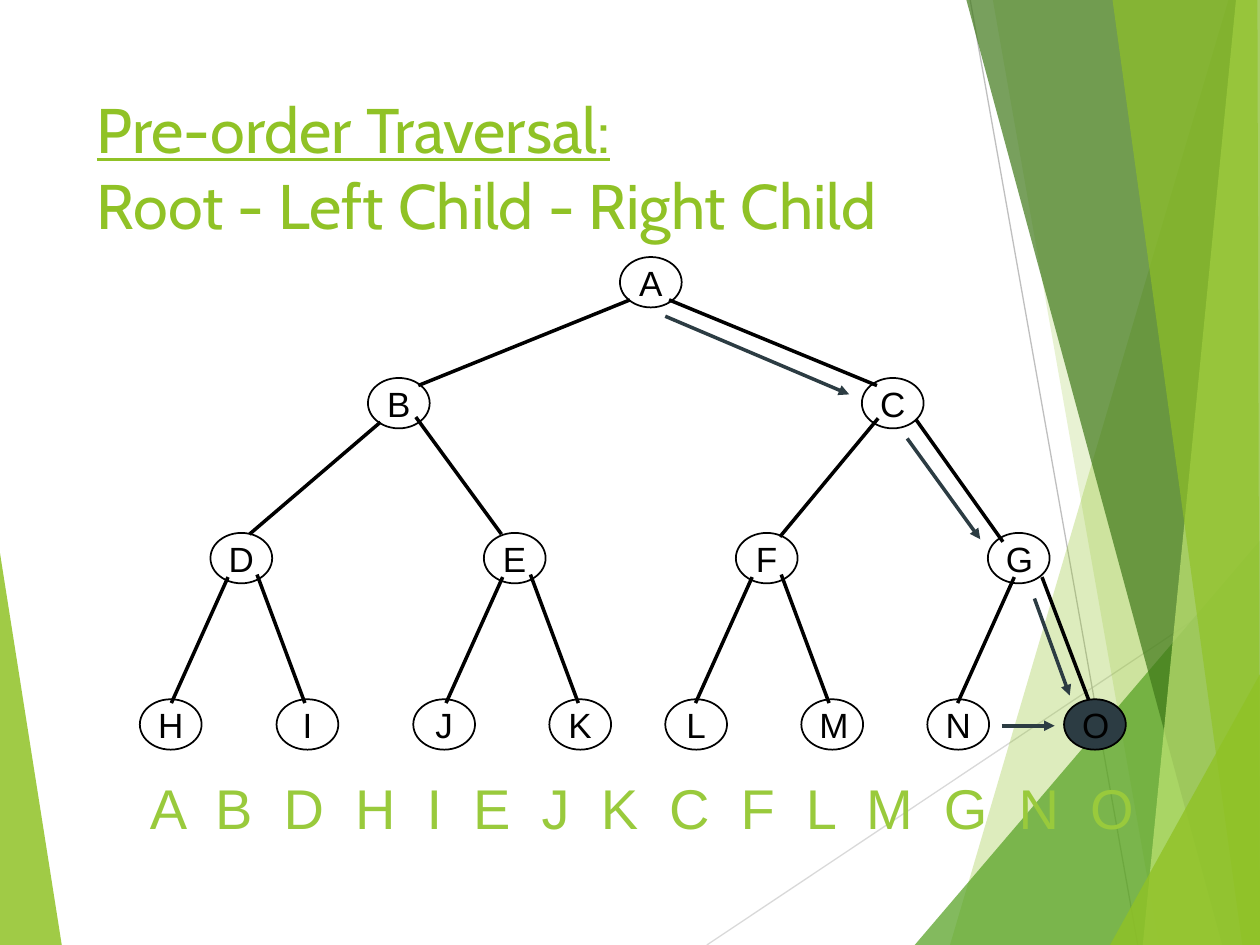
import pptx
import pptx.dml.color
import pptx.enum.shapes
import pptx.enum.text
import pptx.oxml
import pptx.oxml.ns
import pptx.util
from dataclasses import dataclass

# The slide is a grid of 100 columns by 75 rows
COLUMNS, ROWS = 100, 75
deck = pptx.Presentation()
deck.slide_width = pptx.util.Inches(10)
deck.slide_height = pptx.util.Inches(7.5)
page = deck.slides.add_slide(deck.slide_layouts[6])
shapes = page.shapes

BLACK, WHITE, SLATE = "000000", "FFFFFF", "2C3C43"
LIME, LETTER_GREEN = "90C226", "99CA3C"
NODE_WIDTH, NODE_HEIGHT = 4.9, 4
LABEL_WIDTH, LABEL_HEIGHT = 4, 4.3


@dataclass
class Facet:
    color: str
    opacity: int
    points: list[tuple[float, float]]


@dataclass
class Line:
    start: tuple[float, float]
    end: tuple[float, float]
    color: str = BLACK
    width: float = 2
    arrow: bool = False


@dataclass
class Node:
    letter: str
    column: float
    row: float
    fill: str = WHITE


@dataclass
class Span:
    text: str
    size: float
    font: str
    color: str
    underline: bool = False


def across(column: float) -> int:
    return round(deck.slide_width * column / COLUMNS)


def down(row: float) -> int:
    return round(deck.slide_height * row / ROWS)


def rgb(value: str) -> pptx.dml.color.RGBColor:
    return pptx.dml.color.RGBColor.from_string(value)


def element(xml: str):
    return pptx.oxml.parse_xml(xml.replace(" ", f" {pptx.oxml.ns.nsdecls('a')} ", 1))


def draw_facet(facet: Facet) -> None:
    corners = [(across(x), down(y)) for x, y in facet.points]
    builder = shapes.build_freeform(*corners[0])
    builder.add_line_segments(corners[1:], close=True)
    shape = builder.convert_to_shape()
    shape.shadow.inherit = False
    shape.fill.solid()
    shape.fill.fore_color.rgb = rgb(facet.color)
    shape.line.fill.background()
    color = shape.fill._xPr.find(".//" + pptx.oxml.ns.qn("a:srgbClr"))
    color.append(element(f'<a:alpha val="{facet.opacity * 1000}"/>'))


def draw_line(line: Line) -> None:
    connector = shapes.add_connector(
        pptx.enum.shapes.MSO_CONNECTOR.STRAIGHT,
        across(line.start[0]), down(line.start[1]), across(line.end[0]), down(line.end[1]))
    connector.line.color.rgb = rgb(line.color)
    connector.line.width = pptx.util.Pt(line.width)
    if line.arrow:
        connector.line._get_or_add_ln().append(element('<a:tailEnd type="triangle"/>'))
    connector._element.spPr.append(element("<a:effectLst />"))


def draw_text(left: float, top: float, width: float, height: float,
              spans: list[Span], centered: bool = True):
    """Set each span on a line of its own and return the paragraph."""
    box = shapes.add_textbox(across(left), down(top), across(width), down(height))
    box.text_frame.word_wrap = not centered
    para = box.text_frame.paragraphs[0]
    if centered:
        box.text_frame.auto_size = pptx.enum.text.MSO_AUTO_SIZE.SHAPE_TO_FIT_TEXT
        para.alignment = pptx.enum.text.PP_ALIGN.CENTER
    for index, span in enumerate(spans):
        if index:
            para.add_line_break()
        run = para.add_run()
        run.text = span.text
        run.font.size = pptx.util.Pt(span.size)
        run.font.name = span.font
        run.font.color.rgb = rgb(span.color)
        run.font.underline = span.underline
    return para


def draw_node(node: Node) -> None:
    oval = shapes.add_shape(
        pptx.enum.shapes.MSO_SHAPE.OVAL,
        across(node.column - NODE_WIDTH / 2), down(node.row - NODE_HEIGHT / 2),
        across(NODE_WIDTH), down(NODE_HEIGHT))
    oval.shadow.inherit = False
    oval.fill.solid()
    oval.fill.fore_color.rgb = rgb(node.fill)
    oval.line.color.rgb = rgb(BLACK)
    oval.line.width = pptx.util.Pt(1)
    draw_text(node.column - LABEL_WIDTH / 2, node.row - LABEL_HEIGHT / 2,
              LABEL_WIDTH, LABEL_HEIGHT, [Span(node.letter, 20, "Arial", BLACK)])


# Background facets and hairlines
draw_facet(Facet(LIME, 85, [(0, 43.9), (4.9, ROWS), (0, ROWS)]))
draw_line(Line((56.1, ROWS), (COLUMNS, 45.7), "D9D9D9", 0.75))
draw_line(Line((77, 0), (90.3, ROWS), "BFBFBF", 0.75))
for facet in [
    Facet(LIME, 30, [(97.5, 0), (75.4, ROWS), (COLUMNS, ROWS), (COLUMNS, 0)]),
    Facet(LIME, 20, [(78.8, 0), (92, ROWS), (COLUMNS, ROWS), (COLUMNS, 0)]),
    Facet("54A021", 72, [(72.6, ROWS), (COLUMNS, 42.9), (COLUMNS, ROWS)]),
    Facet("3F7819", 70, [(76.7, 0), (97, ROWS), (COLUMNS, ROWS), (COLUMNS, 0)]),
    Facet("C0E474", 70, [(98.1, 0), (90.7, ROWS), (COLUMNS, ROWS), (COLUMNS, 0)]),
    Facet(LIME, 65, [(88.3, 0), (98.6, ROWS), (COLUMNS, ROWS), (99.8, 0)]),
    Facet(LIME, 80, [(88.1, ROWS), (COLUMNS, 53.5), (COLUMNS, ROWS)]),
]:
    draw_facet(facet)

# The branch to O lies behind its nodes
draw_line(Line((82.7, 45.8), (86.5, 55.8)))

# Title
draw_text(6.7, 6.7, 69.4, 14.4, [
    Span("Pre-order Traversal:", 36, "Cabin", LIME, underline=True),
    Span("Root - Left Child - Right Child", 36, "Cabin", LIME),
], centered=False)

# Tree nodes, level by level
LEVELS = [
    (22.4, "A", [51.65]),
    (32, "BC", [31.65, 70.85]),
    (44.3, "DEFG", [19.15, 40.85, 60.85, 80.85]),
    (57.5, "HIJKLMNO", [13.55, 24.4, 35.25, 46.05, 55.25, 66.05, 76.05, 86.9]),
]
for row, letters, columns in LEVELS:
    for letter, column in zip(letters, columns):
        draw_node(Node(letter, column, row, SLATE if letter == "O" else WHITE))

# Upper branches
for start, end in [
    ((50, 23.8), (33.2, 30.6)), ((53.1, 23.8), (69.6, 30.6)),
    ((30.2, 33.5), (19.8, 42.4)), ((69.7, 33.2), (61.9, 42.6)),
    ((72.7, 33.3), (79.6, 43)), ((33, 33.1), (39.8, 42.4)),
]:
    draw_line(Line(start, end))

# Branches to the leaves share one slope on each side
for column in (18.1, 39.9, 59.7, 80.5):
    draw_line(Line((column, 45.8), (column - 4.5, 55.8)))
for column in (20.4, 42.1, 62):
    draw_line(Line((column, 45.6), (column + 3.8, 55.8)))

# Arrows along the latest steps of the walk
for start, end in [
    ((82.1, 47.5), (84.9, 55.2)), ((52.8, 25.1), (67.4, 31.3)),
    ((72, 34.8), (77.8, 42.8)), ((79.5, 57.6), (83.7, 57.6)),
]:
    draw_line(Line(start, end, SLATE, arrow=True))

# Visiting order, spread by letter spacing and with a text shadow
order = draw_text(10.7, 60.9, 80.6, 6.3,
                  [Span(" ".join("ABDHIEJKCFLMGNO"), 32, "Arial", LETTER_GREEN)])
properties = order.runs[0].font._element
properties.set("spc", "445")
properties.find(pptx.oxml.ns.qn("a:solidFill")).addnext(element(
    '<a:effectLst ><a:outerShdw dist="25400" dir="2700000">'
    f'<a:srgbClr val="{BLACK}"/></a:outerShdw></a:effectLst>'))

deck.save("out.pptx")
